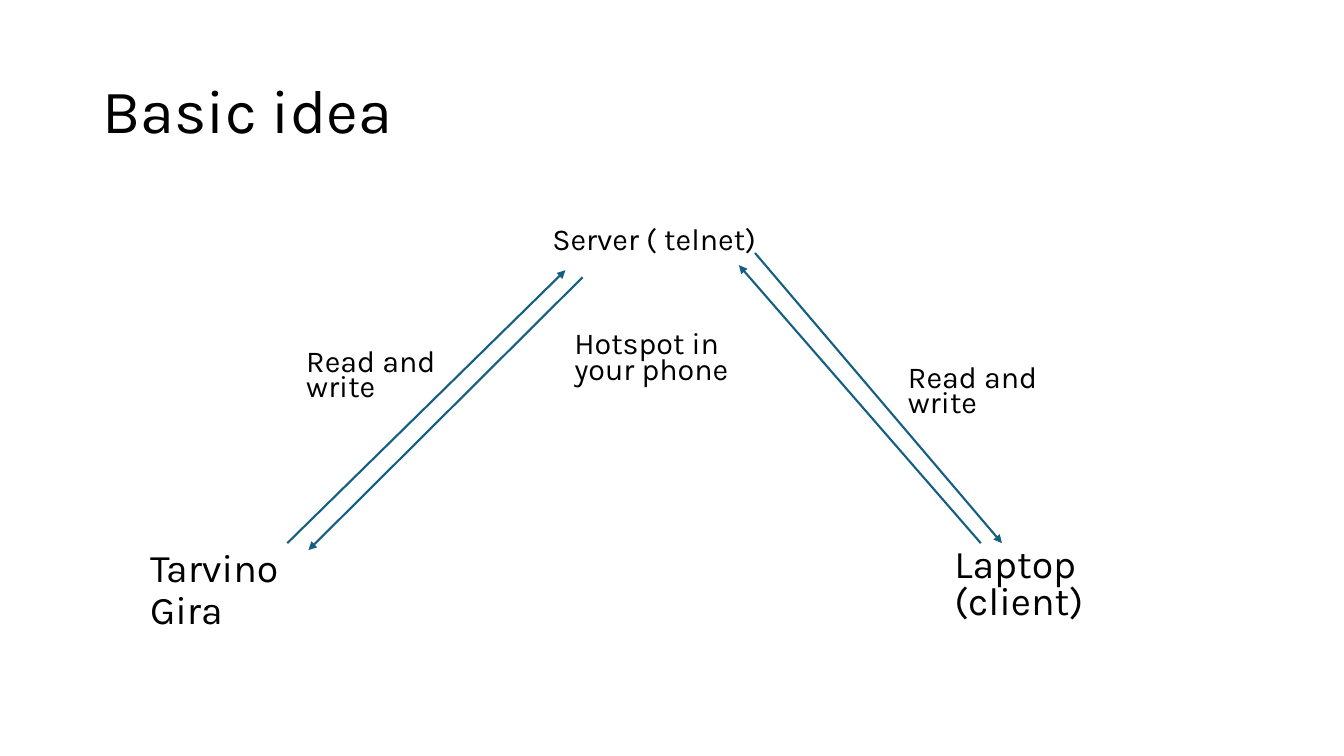
from dataclasses import dataclass

from lxml.etree import SubElement
from pptx import Presentation
from pptx.dml.color import RGBColor
from pptx.enum.shapes import MSO_CONNECTOR
from pptx.enum.text import MSO_ANCHOR, MSO_AUTO_SIZE, PP_ALIGN
from pptx.oxml.ns import qn
from pptx.util import Pt


@dataclass(frozen=True)
class Theme:
    font: str = "Karla"
    ink: RGBColor = RGBColor(0x00, 0x00, 0x00)
    arrow: RGBColor = RGBColor(0x15, 0x60, 0x82)
    heading: float = 44
    device: float = 28
    label: float = 21.7
    stroke: float = 1.5


THEME = Theme()

LABELS = [
    ("Laptop (client)", (674.6, 388, 141.1, 64), THEME.device, 0.8),
    ("Server ( telnet)", (387.4, 160.6, 161.3, 47.5), THEME.label, 0.7),
    ("Hotspot in your phone", (403.2, 235.4, 129.6, 47.5), THEME.label, 0.7),
    ("Read and write", (641.5, 259.2, 129.6, 47.5), THEME.label, 0.7),
    ("Read and write", (211.7, 247.7, 129.6, 47.5), THEME.label, 0.7),
]

ARROWS = [
    ((205.2, 388), (403.9, 193)),
    ((416.2, 198), (220.3, 393)),
    ((700.6, 388), (527.8, 189.4)),
    ((539.3, 180.7), (715.7, 388)),
]


def apply(target, values):
    for name, value in values.items():
        setattr(target, name, value)


def place(holder, box):
    apply(holder, dict(zip(("left", "top", "width", "height"), map(Pt, box))))


def write(holder, wording, size, spacing, before=10, anchor=MSO_ANCHOR.TOP):
    frame = holder.text_frame
    frame.text = wording
    apply(frame, {
        "word_wrap": True,
        "auto_size": MSO_AUTO_SIZE.NONE,
        "vertical_anchor": anchor,
    })
    paragraph = frame.paragraphs[0]
    apply(paragraph, {
        "alignment": PP_ALIGN.LEFT,
        "line_spacing": spacing,
        "space_before": Pt(before),
    })
    font = paragraph.runs[0].font
    apply(font, {"name": THEME.font, "size": Pt(size)})
    font.color.rgb = THEME.ink


def remove_bullet(holder):
    properties = holder.element.find(".//" + qn("a:pPr"))
    for name in ("marL", "indent"):
        properties.set(name, "0")
    SubElement(properties, qn("a:buNone"))


def add_label(slide, wording, box, size, spacing):
    label = slide.shapes.add_textbox(*map(Pt, box))
    write(label, wording, size, spacing)


def add_arrow(slide, start, end):
    arrow = slide.shapes.add_connector(
        MSO_CONNECTOR.STRAIGHT, *map(Pt, start + end))
    arrow.line.color.rgb = THEME.arrow
    arrow.line.width = Pt(THEME.stroke)
    properties = arrow.element.spPr
    SubElement(properties.find(qn("a:ln")), qn("a:tailEnd"), type="triangle")
    SubElement(properties, qn("a:effectLst"))


def main():
    deck = Presentation()
    apply(deck, {"slide_width": Pt(960), "slide_height": Pt(540)})
    slide = deck.slides.add_slide(deck.slide_layouts[1])

    heading, board = slide.placeholders
    place(heading, (66, 28.8, 828, 104.4))
    write(heading, "Basic idea", THEME.heading, 0.9, 0, MSO_ANCHOR.MIDDLE)
    place(board, (100, 388, 129.6, 72))
    write(board, "Tarvino Gira", THEME.device, 0.9)
    remove_bullet(board)

    for label in LABELS:
        add_label(slide, *label)
    for start, end in ARROWS:
        add_arrow(slide, start, end)

    deck.save("out.pptx")


if __name__ == "__main__":
    main()
